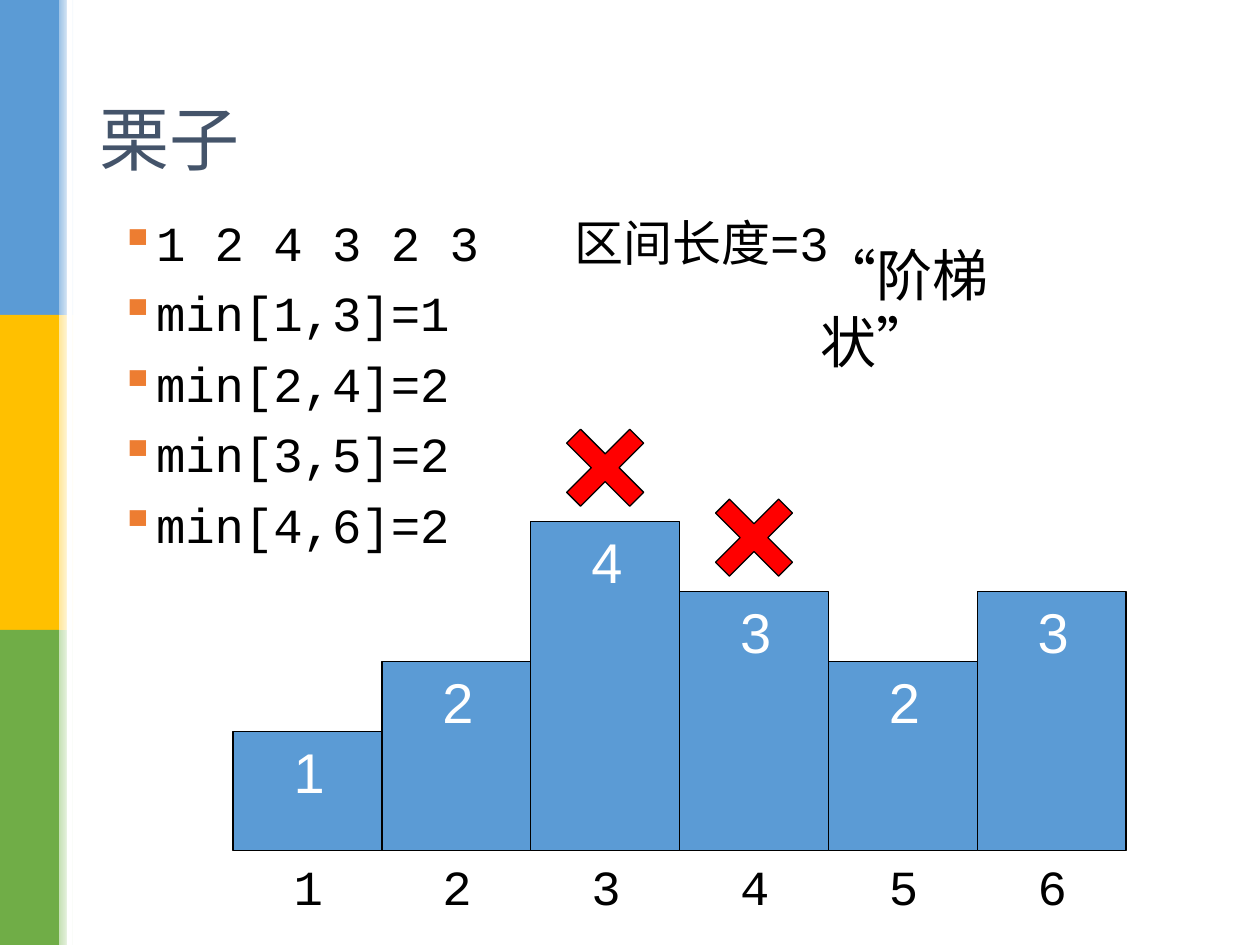
from lxml import etree
from pptx import Presentation
from pptx.dml.color import RGBColor
from pptx.enum.lang import MSO_LANGUAGE_ID
from pptx.enum.shapes import MSO_SHAPE
from pptx.enum.text import MSO_ANCHOR, MSO_AUTO_SIZE, PP_ALIGN
from pptx.oxml.ns import qn
from pptx.util import Cm, Pt

RECT, PLUS = MSO_SHAPE.RECTANGLE, MSO_SHAPE.CROSS
TOP, LEFT = MSO_ANCHOR.TOP, PP_ALIGN.LEFT
FIXED = MSO_AUTO_SIZE.NONE
CHINESE = MSO_LANGUAGE_ID.SIMPLIFIED_CHINESE
MONO, SANS = "Courier New", "Arial"

COLORS = {
    "blue": "5B9BD5", "gold": "FFC000", "green": "70AD47",
    "pale blue": "9DC3E6", "pale gold": "FFE699", "pale green": "C5E0B4",
    "white": "FFFFFF", "black": "000000", "red": "FF0000",
    "slate": "44546A", "orange": "ED7D31",
}
BANDS = ["blue", "gold", "green"]
VALUES = [1, 2, 4, 3, 2, 3]
CROSSED = [3, 4]
LINES = [
    "1 2 4 3 2 3\t区间长度=3",
    "min[1,3]=1",
    "min[2,4]=2",
    "min[3,5]=2",
    "min[4,6]=2",
]
BAR_LEFT, BAR_WIDTH, BASE = 4.7, 3, 17.15
FIRST, STEP = 2.41, 1.41


def color(name):
    """Return the named colour."""
    return RGBColor.from_string(COLORS[name])


def add_box(slide, kind, left, top, width, height, fill, line=None):
    """Add a filled shape, with a thin outline if a line colour is given."""
    shape = slide.shapes.add_shape(
        kind, Cm(left), Cm(top), Cm(width), Cm(height))
    shape.shadow.inherit = False
    shape.fill.solid()
    shape.fill.fore_color.rgb = color(fill)
    if line:
        shape.line.color.rgb = color(line)
        shape.line.width = Pt(0.75)
    else:
        shape.line.fill.background()
    return shape


def fill_text(frame, lines, size, font, tint):
    """Write lines of text into a frame, one paragraph each."""
    frame.word_wrap = True
    frame.auto_size = FIXED
    frame.vertical_anchor = TOP
    frame.text = "\n".join(lines)
    for para in frame.paragraphs:
        para.alignment = LEFT
        para.font.size = Pt(size)
        para.font.name = font
        para.font.color.rgb = color(tint)
        para.font.language_id = CHINESE


def add_text(slide, left, top, width, height, lines, size, font, tint):
    """Add a text box and return its frame."""
    box = slide.shapes.add_textbox(
        Cm(left), Cm(top), Cm(width), Cm(height))
    fill_text(box.text_frame, lines, size, font, tint)
    return box.text_frame


def set_bullet(para, tab):
    """Give a paragraph a square bullet, a hanging indent and a tab stop."""
    para.line_spacing = 0.9
    para.space_before = Pt(10)
    props = para._p.get_or_add_pPr()
    props.set("marL", str(Cm(0.64)))
    props.set("indent", str(-Cm(0.64)))
    tint = etree.Element(qn("a:buClr"))
    etree.SubElement(tint, qn("a:srgbClr"), val=COLORS["orange"])
    mark = etree.Element(qn("a:buChar"), char="▪")
    tabs = etree.Element(qn("a:tabLst"))
    etree.SubElement(tabs, qn("a:tab"), pos=str(Cm(tab)), algn="l")
    place = props.find(qn("a:defRPr"))
    for item in (tint, mark, tabs):
        place.addprevious(item)


def add_bands(slide):
    """Draw the coloured bands and their fading edge at the left."""
    height = 19.05 / len(BANDS)
    for i, name in enumerate(BANDS):
        add_box(slide, RECT, 0, i * height, 1.19, height, name)
        edge = add_box(slide, RECT, 1.19, i * height, 0.3, height, "white")
        edge.fill.gradient()
        edge.fill.gradient_angle = 0
        for stop, tint in zip(edge.fill.gradient_stops,
                              ("pale " + name, "white")):
            stop.color.rgb = color(tint)
    add_box(slide, RECT, 1.35, 0, 0.1, 19.05, "white")


def add_title(slide, text):
    """Place and format the title."""
    title = slide.shapes.title
    title.left, title.top = Cm(1.75), Cm(1.8)
    title.width, title.height = Cm(21.9), Cm(2.87)
    fill_text(title.text_frame, [text], 40, MONO, "slate")


def add_bars(slide):
    """Draw one bar per value, with its value, index and any cross."""
    for i, value in enumerate(VALUES):
        index = i + 1
        left = BAR_LEFT + i * BAR_WIDTH
        height = FIRST + (value - 1) * STEP
        top = BASE - height
        add_box(slide, RECT, left, top, BAR_WIDTH, height, "blue", "black")
        add_text(slide, left + 0.97, top, 1.04, 1.6,
                 [str(value)], 32, SANS, "white")
        add_text(slide, left + 0.97, BASE, 1.17, 1.45,
                 [str(index)], 28, MONO, "black")
        if index in CROSSED:
            cross = add_box(slide, PLUS, left + 0.6, top - 1.98, 1.8, 1.8,
                            "red", "black")
            cross.adjustments[0] = 0.39
            cross.rotation = 45


def main():
    """Build the slide and save it."""
    deck = Presentation()
    deck.slide_width, deck.slide_height = Cm(25.4), Cm(19.05)
    slide = deck.slides.add_slide(deck.slide_layouts[5])
    add_bands(slide)
    add_title(slide, "栗子")
    body = add_text(slide, 2.16, 4.29, 21.97, 12.73,
                    LINES, 28, MONO, "black")
    for para in body.paragraphs:
        set_bullet(para, 9.17)
    add_bars(slide)
    add_text(slide, 16.3, 4.72, 5.94, 1.6, ["“阶梯状”"], 32, SANS, "black")
    deck.save("out.pptx")


main()
